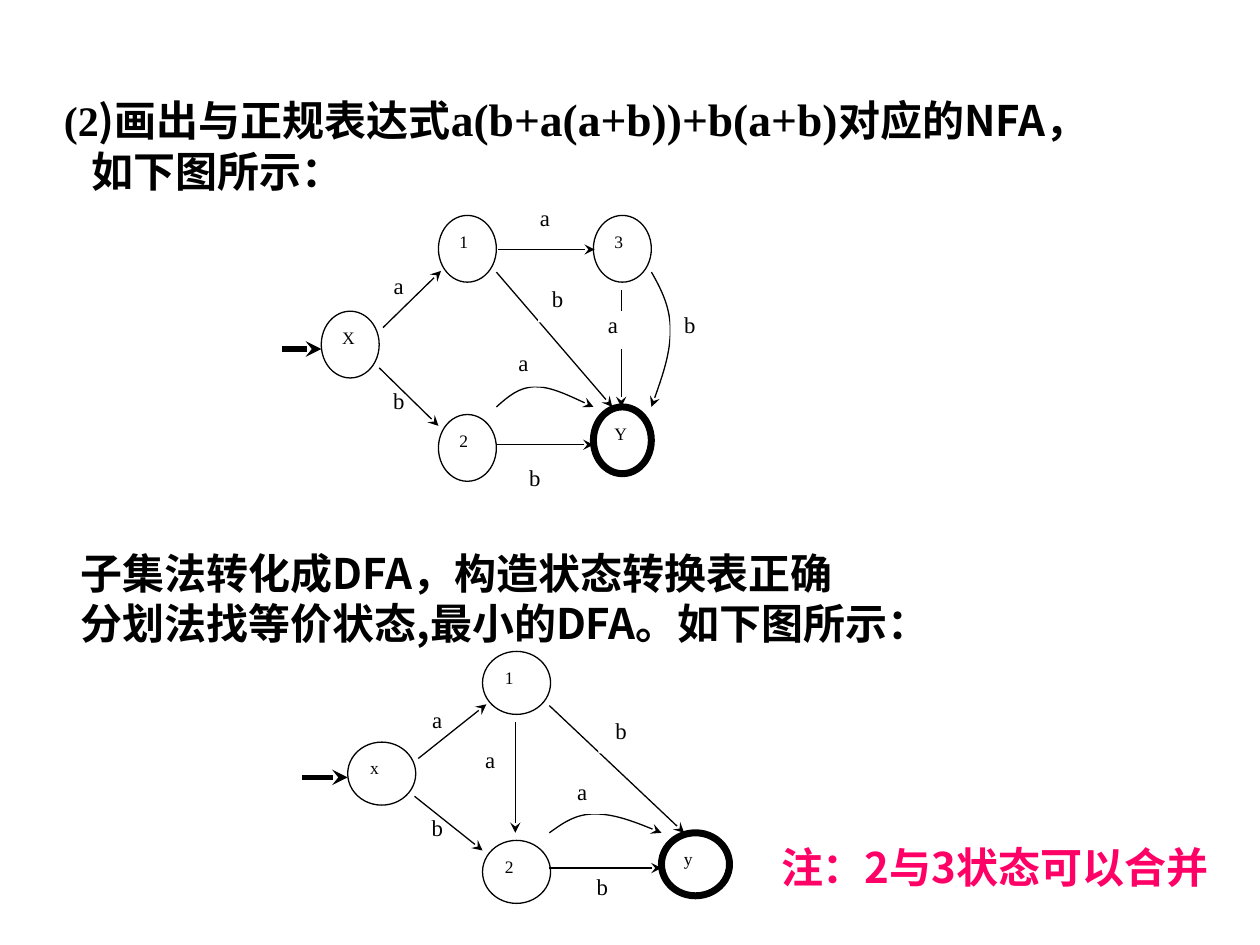
from lxml import etree
from pptx import Presentation
from pptx.dml.color import RGBColor
from pptx.enum.shapes import MSO_CONNECTOR, MSO_SHAPE
from pptx.enum.text import MSO_ANCHOR, PP_ALIGN
from pptx.oxml.ns import qn
from pptx.util import Inches, Pt

BLACK = RGBColor(0x00, 0x00, 0x00)
WHITE = RGBColor(0xFF, 0xFF, 0xFF)
PINK = RGBColor(0xFF, 0x00, 0x66)
SERIF, SANS = "Times New Roman", "Noto Sans CJK SC"
OVAL, RECT = MSO_SHAPE.OVAL, MSO_SHAPE.RECTANGLE
STRAIGHT = MSO_CONNECTOR.STRAIGHT
TOP, LEFT, CENTER = MSO_ANCHOR.TOP, PP_ALIGN.LEFT, PP_ALIGN.CENTER

# Each automaton: positions are inches from the top left of its box
NFA = {
    "node_size": (0.46, 0.53),
    "label_size": (0.31, 0.3),
    "entry": (0, 1.15, 0.31, 1.15),
    "nodes": [("X", 0.31, 0.85), ("1", 1.24, 0.09), ("3", 2.47, 0.09),
              ("2", 1.24, 1.67)],
    "final": ("Y", 2.47, 1.61),
    "labels_below": [("a", 0.77, 0.54), ("b", 0.77, 1.45), ("a", 1.93, 0)],
    "edges": [(0.8, 0.98, 1.26, 0.53), (1.71, 0.36, 2.48, 0.36),
              (0.77, 1.3, 1.24, 1.76), (1.7, 1.91, 2.47, 1.91),
              (2.69, 0.68, 2.69, 1.61), (1.7, 0.54, 2.62, 1.61)],
    "curves": [
        [(2.93, 0.54), (3.01, 0.68), (3.08, 0.82), (3.08, 1),
         (3.08, 1.18), (3.01, 1.39), (2.93, 1.61)],
        [(1.7, 1.61), (1.79, 1.53), (1.88, 1.45), (2.01, 1.45),
         (2.13, 1.45), (2.3, 1.53), (2.47, 1.61)]],
    "labels_above": [("b", 1.85, 2.06), ("a", 1.76, 1.15), ("b", 2.03, 0.64),
                     ("a", 2.47, 0.85), ("b", 3.08, 0.85)],
}
MINIMAL_DFA = {
    "node_size": (0.54, 0.5),
    "label_size": (0.36, 0.29),
    "entry": (0, 1, 0.36, 1),
    "nodes": [("x", 0.36, 0.72), ("1", 1.43, 0), ("2", 1.43, 1.5)],
    "final": ("y", 2.85, 1.44),
    "labels_below": [("a", 0.89, 0.43), ("b", 0.89, 1.29)],
    "edges": [(0.92, 0.85, 1.46, 0.42), (0.89, 1.15, 1.43, 1.58),
              (1.96, 1.72, 2.85, 1.72), (1.69, 0.56, 1.69, 1.44),
              (1.96, 0.43, 3.03, 1.44)],
    "curves": [
        [(1.96, 1.44), (2.07, 1.36), (2.17, 1.29), (2.32, 1.29),
         (2.47, 1.29), (2.66, 1.36), (2.85, 1.44)]],
    "labels_above": [("b", 2.2, 1.76), ("a", 2.04, 1), ("b", 2.35, 0.52),
                     ("a", 1.31, 0.75)],
}


def format_run(r, font, size, color=BLACK, bold=False):
    r.font.size, r.font.bold = Pt(size), bold
    r.font.color.rgb = color
    r.font.name = font
    etree.SubElement(r.font._element, qn("a:ea")).set("typeface", font)


def add_cell(slide, kind, box, text, size, align, margins, line_width=None):
    """A white shape holding one short text: a state or an edge label."""
    s = slide.shapes.add_shape(kind, *(Inches(v) for v in box))
    s.shadow.inherit = False
    s.fill.solid()
    s.fill.fore_color.rgb = WHITE
    if line_width:
        s.line.color.rgb = BLACK
        s.line.width = Pt(line_width)
    else:
        s.line.fill.background()
    tf = s.text_frame
    tf.margin_left = tf.margin_right = Inches(margins[0])
    tf.margin_top = tf.margin_bottom = Inches(margins[1])
    tf.vertical_anchor = TOP
    tf.text = text
    p = tf.paragraphs[0]
    p.alignment = align
    format_run(p.runs[0], SERIF, size)


def style_arrow(s, width):
    s.line.color.rgb = BLACK
    s.line.width = Pt(width)
    props = s._element.spPr
    etree.SubElement(props.find(qn("a:ln")), qn("a:tailEnd")).set("type", "stealth")
    if props.find(qn("a:effectLst")) is None:
        etree.SubElement(props, qn("a:effectLst"))


def add_arrow(slide, left, top, edge, width=0.75):
    x1, y1, x2, y2 = edge
    s = slide.shapes.add_connector(STRAIGHT, Inches(left + x1), Inches(top + y1),
                                   Inches(left + x2), Inches(top + y2))
    style_arrow(s, width)


def add_curve(slide, left, top, points):
    """Bezier arrow: a start, then two controls and an end per segment."""
    pts = [(Inches(left + x), Inches(top + y)) for x, y in points]
    builder = slide.shapes.build_freeform(*pts[0])
    builder.add_line_segments(pts[1:], close=False)
    s = builder.convert_to_shape()
    s.fill.background()
    # Join each three straight segments into one cubic segment
    path = next(s._element.iter(qn("a:path")))
    lines = path.findall(qn("a:lnTo"))
    for i in range(0, len(lines), 3):
        cubic = etree.SubElement(path, qn("a:cubicBezTo"))
        for line in lines[i:i + 3]:
            cubic.append(line[0])
            path.remove(line)
    style_arrow(s, 0.75)


def add_automaton(slide, left, top, graph):
    def add_labels(labels):
        for text, x, y in labels:
            add_cell(slide, RECT, (left + x, top + y, *graph["label_size"]),
                     text, 13, CENTER, (0, 0))

    add_labels(graph["labels_below"])
    # States, the final one with a heavy outline
    for node in graph["nodes"] + [graph["final"]]:
        text, x, y = node
        add_cell(slide, OVAL, (left + x, top + y, *graph["node_size"]), text, 10,
                 LEFT, (0.1, 0.05), 4 if node == graph["final"] else 0.75)
    # Transitions
    add_arrow(slide, left, top, graph["entry"], 3)
    for edge in graph["edges"]:
        add_arrow(slide, left, top, edge)
    for points in graph["curves"]:
        add_curve(slide, left, top, points)
    add_labels(graph["labels_above"])


def add_text(slide, box, lines, color=BLACK):
    """Bold text; each line is an indent and a list of (text, font, size)."""
    tf = slide.shapes.add_textbox(*(Inches(v) for v in box)).text_frame
    tf.word_wrap = True
    for i, (indent, runs) in enumerate(lines):
        p = tf.paragraphs[0] if i == 0 else tf.add_paragraph()
        p.line_spacing = Pt(29)
        p._p.get_or_add_pPr().set("marL", str(Inches(indent)))
        for text, font, size in runs:
            r = p.add_run()
            r.text = text
            format_run(r, font, size, color, True)


def main():
    prs = Presentation()
    prs.slide_width, prs.slide_height = Inches(10), Inches(7.5)
    slide = prs.slides.add_slide(prs.slide_layouts[6])

    # Regular expression and its NFA
    add_automaton(slide, 2.24, 1.62, NFA)
    add_text(slide, (0.41, 0.7, 9.2, 0.9), [
        (0, [("(2", SERIF, 24), (")画出与正规表达式", SANS, 24),
             ("a(b+a(a+b))+b(a+b)", SERIF, 26), ("对应的NFA，", SANS, 24)]),
        (0.22, [("如下图所示：", SANS, 24)])])

    # Minimal DFA
    add_automaton(slide, 2.4, 5.17, MINIMAL_DFA)
    add_text(slide, (0.54, 4.29, 8, 0.9), [
        (0, [("子集法转化成DFA，构造状态转换表正确", SANS, 24)]),
        (0, [("分划法找等价状态,最小的DFA。如下图所示：", SANS, 24)])])
    add_text(slide, (6.1, 6.63, 3.85, 0.87),
             [(0, [("注：2与3状态可以合并", SANS, 24)])], PINK)

    prs.save("out.pptx")


if __name__ == "__main__":
    main()
